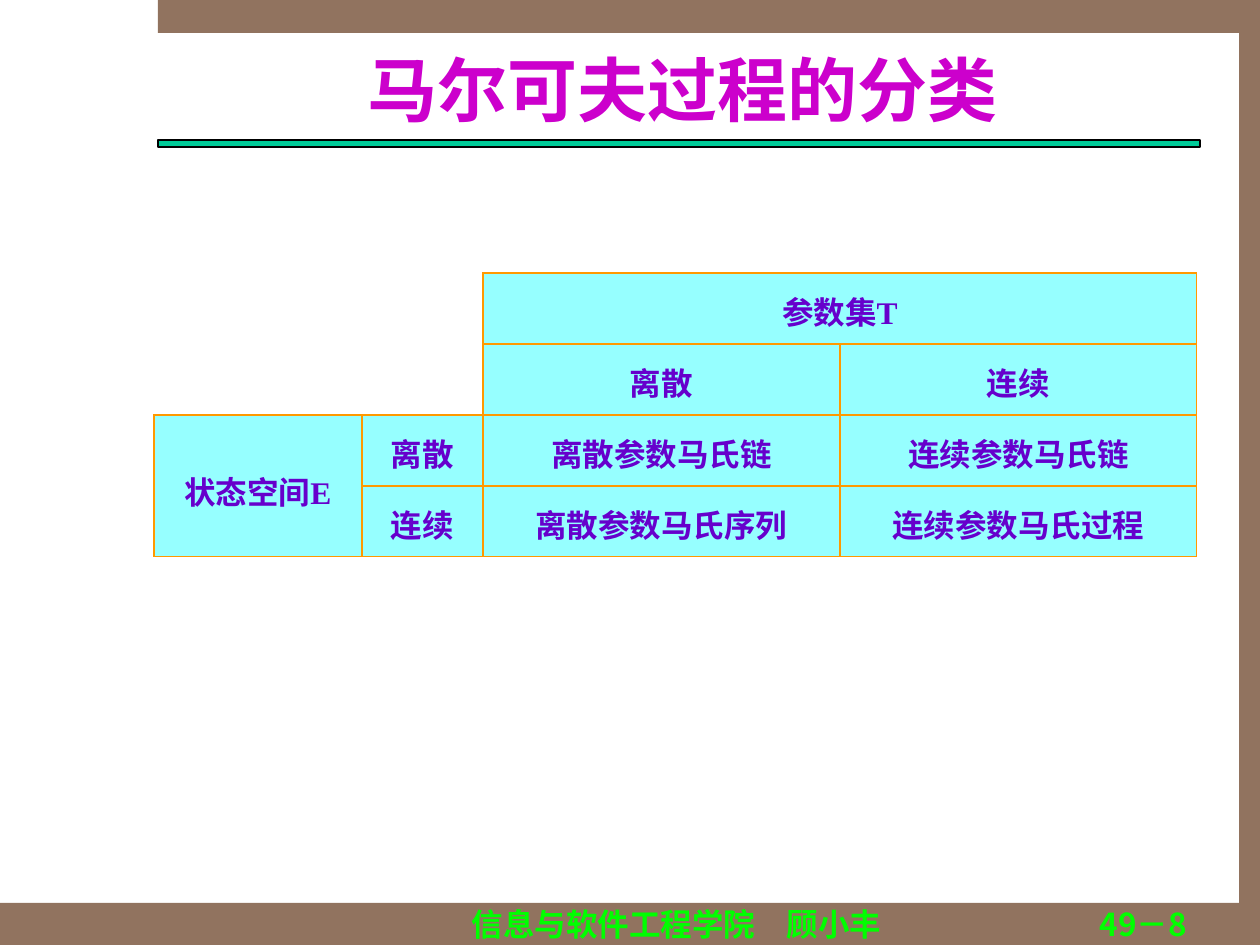
"""Build the slide that classifies Markov processes by parameter set and state space."""
from dataclasses import dataclass

from lxml import etree
from pptx import Presentation
from pptx.dml.color import RGBColor
from pptx.enum.shapes import MSO_SHAPE
from pptx.enum.text import MSO_ANCHOR, PP_ALIGN
from pptx.oxml.ns import qn
from pptx.util import Emu, Pt

RECTANGLE = MSO_SHAPE.RECTANGLE
CENTER, RIGHT = PP_ALIGN.CENTER, PP_ALIGN.RIGHT
MIDDLE, TOP = MSO_ANCHOR.MIDDLE, MSO_ANCHOR.TOP


@dataclass(frozen=True)
class Theme:
    frame: str = "91735F"
    rule: str = "00CC99"
    outline: str = "000000"
    title: str = "CC00CC"
    footer: str = "00FF00"
    cell: str = "96FFFF"
    cell_text: str = "6600CC"
    border: str = "FF9900"
    serif: str = "Times New Roman"
    sans: str = "Noto Sans CJK SC"
    title_size: int = 40
    body_size: int = 18
    line_width: float = 0.75


THEME = Theme()
TITLE = ("马尔可夫过程的分类", (168, 47, 1029, 84))
FRAME_BARS = [(0, 903, 1260, 42), (158, 0, 1102, 33), (1239, 32, 21, 871)]
TITLE_RULE = (158, 140, 1042, 7)
FOOTERS = [
    ("信息与软件工程学院　顾小丰", (388, 905, 577, 38), CENTER),
    ("49－8", (977, 905, 210, 45), RIGHT),
]
TABLE_ROWS = [
    ["", "", "参数集T", ""],
    ["", "", "离散", "连续"],
    ["状态空间E", "离散", "离散参数马氏链", "连续参数马氏链"],
    ["", "连续", "离散参数马氏序列", "连续参数马氏过程"],
]
TABLE_ORIGIN = (154, 273)
COLUMN_WIDTHS = [208, 121, 357, 357]
ROW_HEIGHT = 71
MERGES = [((0, 2), (0, 3)), ((2, 0), (3, 0))]
BLANK_ROWS = BLANK_COLUMNS = 2


def px(value):
    return Emu(round(value * 914400 / 126))


def color(value):
    return RGBColor.from_string(value)


def place(shape, box):
    shape.left, shape.top, shape.width, shape.height = map(px, box)


def write(text_frame, text, align, size, fill, font_name):
    text_frame.text = text
    paragraph = text_frame.paragraphs[0]
    paragraph.alignment = align
    for run in paragraph.runs:
        font = run.font
        font.size, font.bold, font.name = Pt(size), True, font_name
        font.color.rgb = color(fill)
        east_asian = etree.SubElement(run._r.get_or_add_rPr(), qn("a:ea"))
        east_asian.set("typeface", THEME.sans)
    return paragraph


def clear_margins(text_frame):
    text_frame.margin_left = text_frame.margin_right = 0
    text_frame.margin_top = text_frame.margin_bottom = 0
    text_frame.word_wrap = True


def add_bar(slide, box, fill, outline=None):
    shape = slide.shapes.add_shape(RECTANGLE, *map(px, box))
    shape.shadow.inherit = False
    shape.fill.solid()
    shape.fill.fore_color.rgb = color(fill)
    if outline:
        shape.line.color.rgb = color(outline)
        shape.line.width = Pt(THEME.line_width)
    else:
        shape.line.fill.background()


def set_borders(cell, visible):
    properties = cell._tc.get_or_add_tcPr()
    for side in "LRTB":
        line = etree.SubElement(properties, qn(f"a:ln{side}"), w=str(Pt(THEME.line_width)))
        if side in visible:
            fill = etree.SubElement(line, qn("a:solidFill"))
            etree.SubElement(fill, qn("a:srgbClr"), val=THEME.border)
        else:
            etree.SubElement(line, qn("a:noFill"))


def add_classification(slide):
    row_count = len(TABLE_ROWS)
    size = (sum(COLUMN_WIDTHS), ROW_HEIGHT * row_count)
    table = slide.shapes.add_table(
        row_count, len(COLUMN_WIDTHS), *map(px, TABLE_ORIGIN + size)
    ).table
    table.first_row = table.horz_banding = False
    for column, width in zip(table.columns, COLUMN_WIDTHS):
        column.width = px(width)
    for row in table.rows:
        row.height = px(ROW_HEIGHT)
    for start, end in MERGES:
        table.cell(*start).merge(table.cell(*end))
    for row_index, row in enumerate(TABLE_ROWS):
        for column_index, text in enumerate(row):
            cell = table.cell(row_index, column_index)
            if row_index < BLANK_ROWS and column_index < BLANK_COLUMNS:
                right = "R" if column_index == BLANK_COLUMNS - 1 else ""
                bottom = "B" if row_index == BLANK_ROWS - 1 else ""
                set_borders(cell, right + bottom)
                cell.fill.background()
                continue
            set_borders(cell, "LRTB")
            cell.fill.solid()
            cell.fill.fore_color.rgb = color(THEME.cell)
            cell.vertical_anchor = MIDDLE if column_index == 0 else TOP
            if text:
                paragraph = write(cell.text_frame, text, CENTER, THEME.body_size,
                                  THEME.cell_text, THEME.serif)
                paragraph.line_spacing = 1.2


def main():
    presentation = Presentation()
    presentation.slide_width, presentation.slide_height = px(1260), px(945)
    slide = presentation.slides.add_slide(presentation.slide_layouts[5])
    for box in FRAME_BARS:
        add_bar(slide, box, THEME.frame)
    add_bar(slide, TITLE_RULE, THEME.rule, THEME.outline)

    text, box = TITLE
    title = slide.shapes.title
    place(title, box)
    clear_margins(title.text_frame)
    title.text_frame.vertical_anchor = MIDDLE
    write(title.text_frame, text, CENTER, THEME.title_size, THEME.title, THEME.serif)

    add_classification(slide)
    for text, box, align in FOOTERS:
        footer = slide.shapes.add_textbox(*map(px, box))
        clear_margins(footer.text_frame)
        write(footer.text_frame, text, align, THEME.body_size, THEME.footer, THEME.sans)
    presentation.save("out.pptx")


if __name__ == "__main__":
    main()
